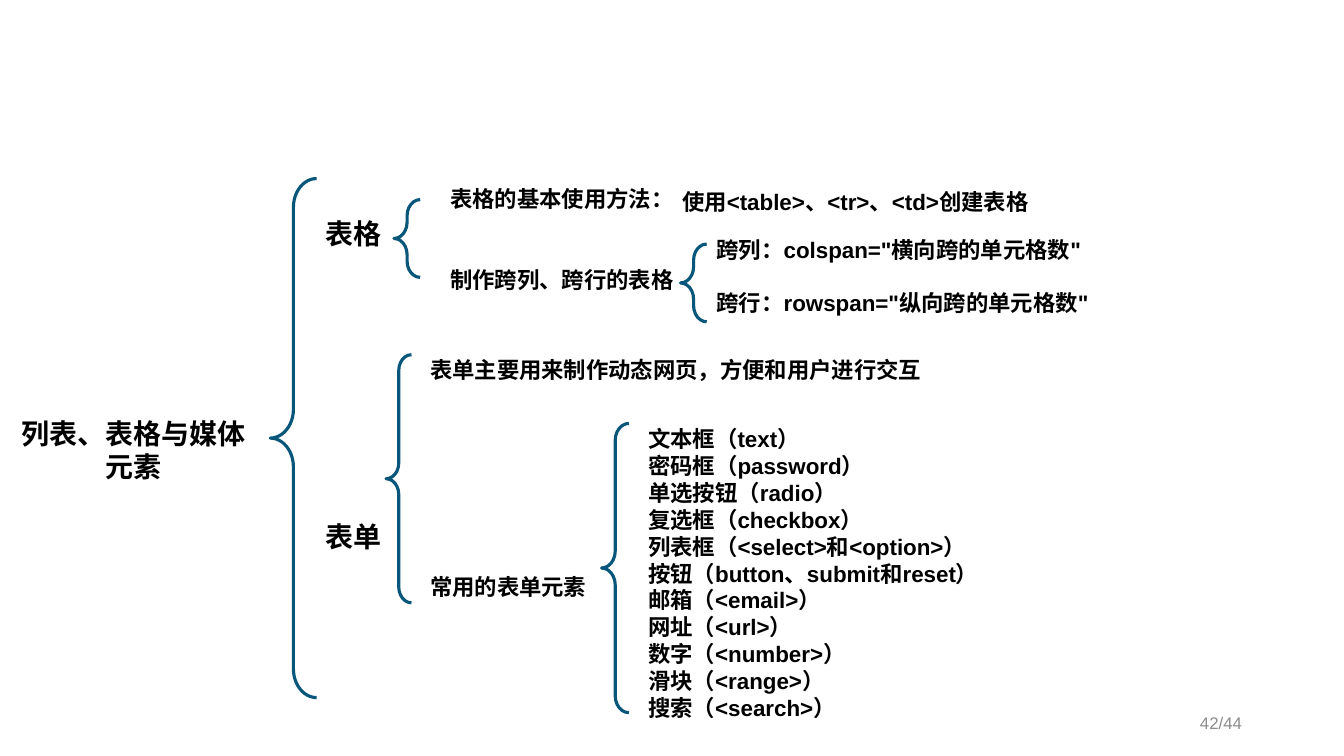
import dataclasses

import lxml.etree
import pptx
import pptx.dml.color
import pptx.enum.shapes
import pptx.enum.text
import pptx.oxml.ns
import pptx.util

Cm = pptx.util.Cm
ALIGN = pptx.enum.text.PP_ALIGN
ANCHOR = pptx.enum.text.MSO_ANCHOR

COLORS = {"text": "000000", "brace": "08577A", "page": "8C8C8C"}
FONT = "Arial"
TOPIC_SIZE = 20
POINT_SIZE = 16


@dataclasses.dataclass
class Brace:
    left: float
    top: float
    width: float
    height: float


@dataclasses.dataclass
class Label:
    text: str
    left: float
    top: float
    width: float
    size: int = POINT_SIZE


BRACES = [
    Brace(6.81, 4.5, 1.17, 13.08),
    Brace(9.93, 5.03, 0.66, 1.96),
    Brace(17.15, 6.15, 0.66, 1.96),
    Brace(9.73, 8.94, 0.64, 6.25),
    Brace(15.16, 10.67, 0.69, 7.29),
]

LABELS = [
    Label("表格", 7.95, 5.34, 2, TOPIC_SIZE),
    Label("表单", 7.95, 12.96, 2, TOPIC_SIZE),
    Label("表格的基本使用方法：", 11.1, 4.55, 6.5),
    Label("制作跨列、跨行的表格", 11.1, 6.58, 6.5),
    Label("使用<table>、<tr>、<td>创建表格", 16.94, 4.62, 13.97),
    Label('跨列：colspan="横向跨的单元格数"', 17.81, 5.82, 13.97),
    Label('跨行：rowspan="纵向跨的单元格数"', 17.81, 7.17, 13.97),
    Label("表单主要用来制作动态网页，方便和用户进行交互", 10.59, 8.86, 14.43),
    Label("常用的表单元素", 10.59, 14.32, 5),
]

FORM_ELEMENTS = [
    "文本框（text）",
    "密码框（password）",
    "单选按钮（radio）",
    "复选框（checkbox）",
    "列表框（<select>和<option>）",
    "按钮（button、submit和reset）",
    "邮箱（<email>）",
    "网址（<url>）",
    "数字（<number>）",
    "滑块（<range>）",
    "搜索（<search>）",
]


def place(sp, left: float, top: float, width: float, height: float) -> None:
    sp.left, sp.top = Cm(left), Cm(top)
    sp.width, sp.height = Cm(width), Cm(height)


def write(sp, lines: list[str], size: int, align=ALIGN.LEFT, anchor=ANCHOR.TOP,
          color: str = "text", bold: bool = True) -> None:
    """Fill a shape with one single-run paragraph per line."""
    tf = sp.text_frame
    tf.word_wrap = True
    tf.auto_size = pptx.enum.text.MSO_AUTO_SIZE.NONE
    tf.vertical_anchor = anchor
    for i, line in enumerate(lines):
        p = tf.add_paragraph() if i else tf.paragraphs[0]
        p.alignment = align
        p.space_before = pptx.util.Pt(0)
        r = p.add_run()
        r.text = line
        r.font.name = FONT
        r.font.size = pptx.util.Pt(size)
        r.font.bold = bold
        r.font.color.rgb = pptx.dml.color.RGBColor.from_string(COLORS[color])


def remove_bullets(sp) -> None:
    for p in sp.text_frame.paragraphs:
        pPr = p._p.get_or_add_pPr()
        pPr.set("marL", "0")
        pPr.set("indent", "0")
        lxml.etree.SubElement(pPr, pptx.oxml.ns.qn("a:buNone"))


def add_label(s, label: Label) -> None:
    sp = s.shapes.add_textbox(Cm(label.left), Cm(label.top), Cm(label.width), Cm(1))
    write(sp, [label.text], label.size)


def add_brace(s, brace: Brace) -> None:
    sp = s.shapes.add_shape(pptx.enum.shapes.MSO_SHAPE.LEFT_BRACE,
                            Cm(brace.left), Cm(brace.top),
                            Cm(brace.width), Cm(brace.height))
    sp.adjustments[0] = 0.62
    sp.adjustments[1] = 0.5
    sp.shadow.inherit = False
    sp.fill.background()
    sp.line.color.rgb = pptx.dml.color.RGBColor.from_string(COLORS["brace"])
    sp.line.width = pptx.util.Pt(2.25)


def add_page_number(s) -> None:
    sp = s.shapes.add_textbox(Cm(23.93), Cm(17.65), Cm(7.62), Cm(1.02))
    write(sp, ["42/44"], 12, ALIGN.RIGHT, ANCHOR.MIDDLE, "page", bold=False)
    sp.text_frame.paragraphs[0].line_spacing = 1.2


def main() -> None:
    prs = pptx.Presentation()
    prs.slide_width, prs.slide_height = Cm(33.87), Cm(19.05)
    s = prs.slides.add_slide(prs.slide_layouts[1])

    title, body = s.placeholders
    place(title, 0, 10.36, 6.73, 1.96)
    write(title, ["列表、表格与媒体元素"], TOPIC_SIZE, ALIGN.CENTER)
    place(body, 16.08, 10.59, 10.46, 8.46)
    write(body, FORM_ELEMENTS, POINT_SIZE)
    remove_bullets(body)

    for label in LABELS:
        add_label(s, label)
    for brace in BRACES:
        add_brace(s, brace)
    add_page_number(s)
    prs.save("out.pptx")


if __name__ == "__main__":
    main()
